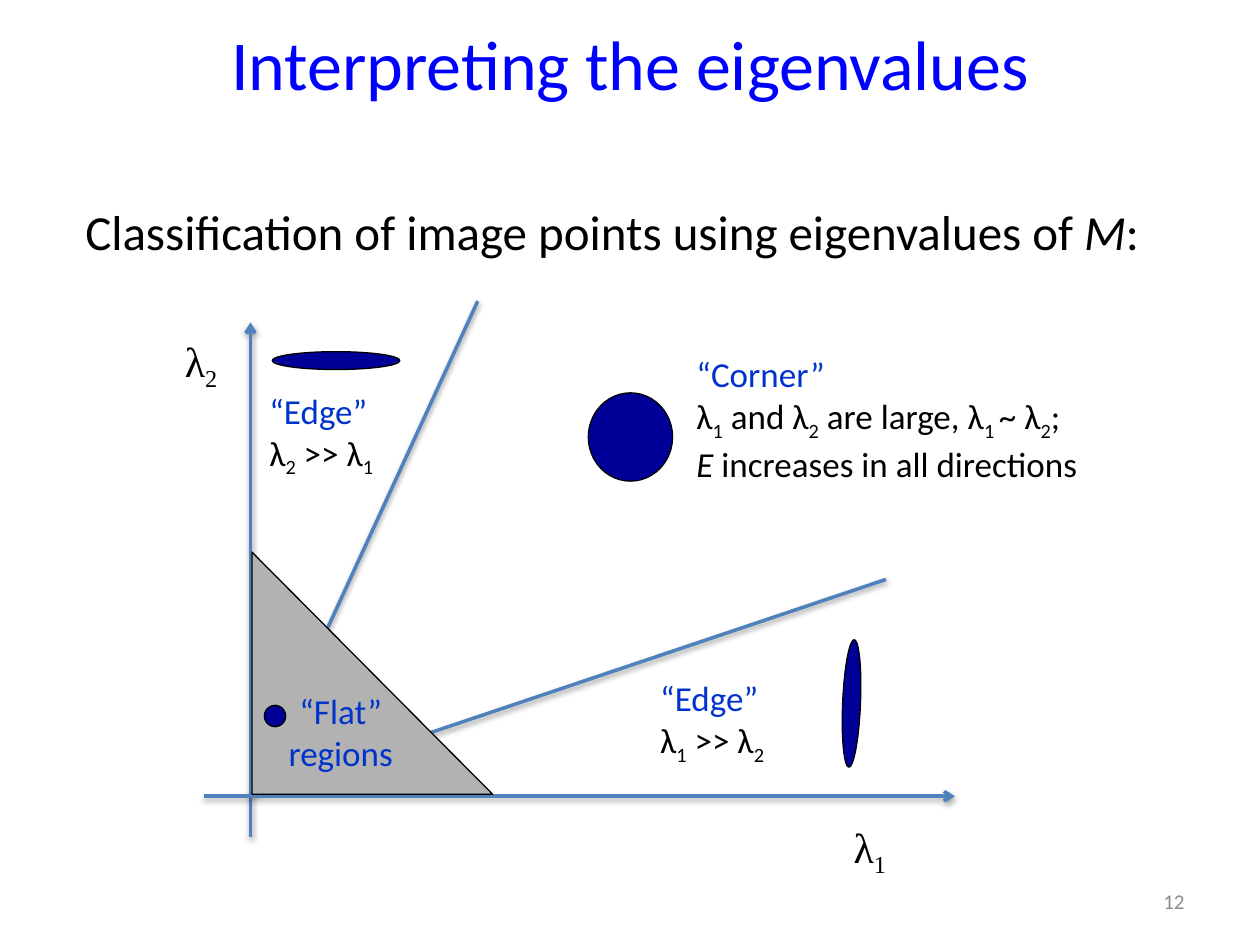
from lxml import etree
from pptx import Presentation
from pptx.dml.color import RGBColor
from pptx.enum.shapes import MSO_CONNECTOR, MSO_SHAPE
from pptx.enum.text import MSO_ANCHOR, PP_ALIGN
from pptx.oxml.ns import qn
from pptx.util import Cm, Pt

STRAIGHT = MSO_CONNECTOR.STRAIGHT
OVAL, TRIANGLE = MSO_SHAPE.OVAL, MSO_SHAPE.RIGHT_TRIANGLE
TOP, MIDDLE = MSO_ANCHOR.TOP, MSO_ANCHOR.MIDDLE
LEFT, CENTER, RIGHT = PP_ALIGN.LEFT, PP_ALIGN.CENTER, PP_ALIGN.RIGHT
BLACK, BLUE, NAVY, STEEL = "000000", "0033CC", "000099", "4F81BD"


def color(value):
    return RGBColor.from_string(value)


def add_text(place, lines, size, anchor=TOP, align=LEFT, font="Calibri"):
    box = slide.shapes.add_textbox(*map(Cm, place))
    box.text_frame.word_wrap = True
    box.text_frame.vertical_anchor = anchor
    para = box.text_frame.paragraphs[0]
    para.alignment = align
    for index, (tint, spans) in enumerate(lines):
        if index:
            para.add_line_break()
        for text, style in spans:
            span = para.add_run()
            span.text = text
            for name, value in {"name": font, "size": Pt(size), **style}.items():
                if name == "baseline":
                    span.font._element.set(name, value)
                else:
                    setattr(span.font, name, value)
            span.font.color.rgb = color(tint)


deck = Presentation()
deck.slide_width, deck.slide_height = Cm(25.4), Cm(19.05)
slide = deck.slides.add_slide(deck.slide_layouts[6])

PLAIN, ITALIC, SUB = {}, {"italic": True}, {"baseline": "-25000"}

add_text((1.27, 0, 22.86, 2.54), [("0000FF", [("Interpreting the eigenvalues", PLAIN)])],
         40, MIDDLE, CENTER)
add_text((1.47, 3.94, 22.23, 1.45),
         [(BLACK, [("Classification of image points using eigenvalues of ", PLAIN),
                   ("M", ITALIC), (":", PLAIN)])], 28)

lines = [
    (5.08, 15.98, 9.63, 6.07, False),
    (5.08, 15.98, 17.86, 11.68, False),
    (5.05, 16.87, 5.05, 6.5, True),
    (4.11, 16.05, 19.25, 16.05, True),
]
for *ends, has_arrow in lines:
    line = slide.shapes.add_connector(STRAIGHT, *map(Cm, ends))
    line.line.color.rgb = color(STEEL)
    line.line.width = Pt(2)
    if has_arrow:
        etree.SubElement(line.line._get_or_add_ln(), qn("a:tailEnd"), type="arrow")
    effects = etree.SubElement(line._element.spPr, qn("a:effectLst"))
    shadow = etree.SubElement(effects, qn("a:outerShdw"), blurRad=str(Pt(3.1)),
                              dist=str(Pt(1.6)), dir="5400000", rotWithShape="0")
    shade = etree.SubElement(shadow, qn("a:srgbClr"), val=BLACK)
    etree.SubElement(shade, qn("a:alpha"), val="38000")

figures = [
    (OVAL, (11.86, 7.92, 1.7, 1.78), NAVY, 0),
    (OVAL, (5.49, 7.09, 2.57, 0.36), NAVY, 0),
    (OVAL, (15.88, 14, 2.57, 0.36), NAVY, 92.4),
    (TRIANGLE, (5.08, 11.13, 4.85, 4.88), "B2B2B2", 0),
    (OVAL, (5.33, 14.22, 0.43, 0.43), NAVY, 0),
]
for kind, place, fill, angle in figures:
    figure = slide.shapes.add_shape(kind, *map(Cm, place))
    figure.shadow.inherit = False
    figure.rotation = angle
    figure.fill.solid()
    figure.fill.fore_color.rgb = color(fill)
    figure.line.color.rgb = color(BLACK)
    figure.line.width = Pt(0.75)

for place, index in [((16.48, 16.43, 2.11, 1.27), "1"), ((2.57, 6.63, 2.97, 1.27), "2")]:
    add_text(place, [(BLACK, [("λ", PLAIN), (index, SUB)])], 24,
             align=CENTER, font="Times New Roman")

for place, large, small in [((13.06, 13.51, 3.61, 1.96), "1", "2"),
                            ((5.18, 7.72, 3.61, 1.96), "2", "1")]:
    add_text(place, [(BLUE, [("“Edge”", PLAIN)]),
                     (BLACK, [("λ", PLAIN), (large, SUB), (" >> λ", PLAIN), (small, SUB)])], 20)

add_text((13.79, 6.99, 9.45, 2.82),
         [(BLUE, [("“Corner”", PLAIN)]),
          (BLACK, [("λ", PLAIN), ("1", SUB), (" and λ", PLAIN), ("2", SUB),
                   (" are large, λ", PLAIN), ("1 ", SUB), ("~ λ", PLAIN), ("2", SUB),
                   (";", PLAIN)]),
          (BLACK, [("E", ITALIC), (" increases in all directions", PLAIN)])], 20)
add_text((5.18, 13.77, 3.38, 1.96), [(BLUE, [("“Flat” regions", PLAIN)])], 20, align=CENTER)
add_text((18.21, 17.65, 5.92, 1.02), [("8C8C8C", [("12", PLAIN)])], 12, MIDDLE, RIGHT)

deck.save("out.pptx")
